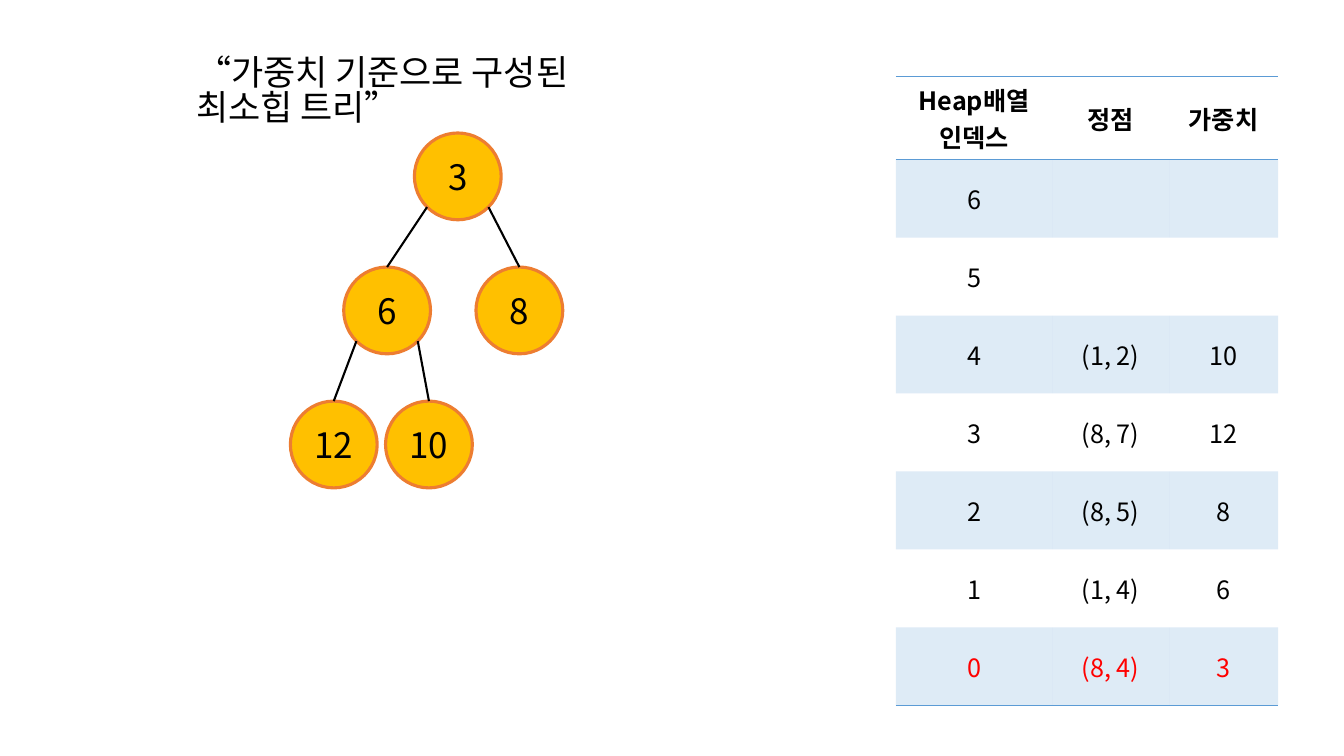
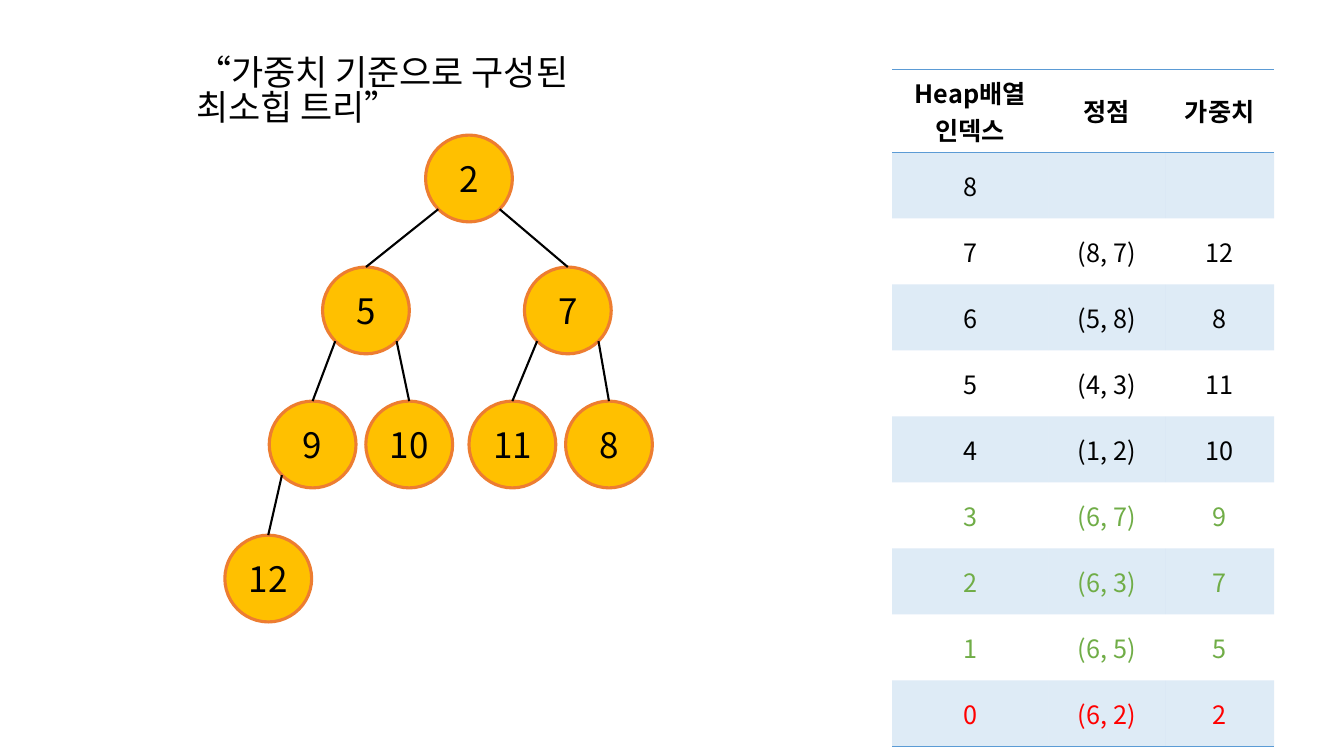
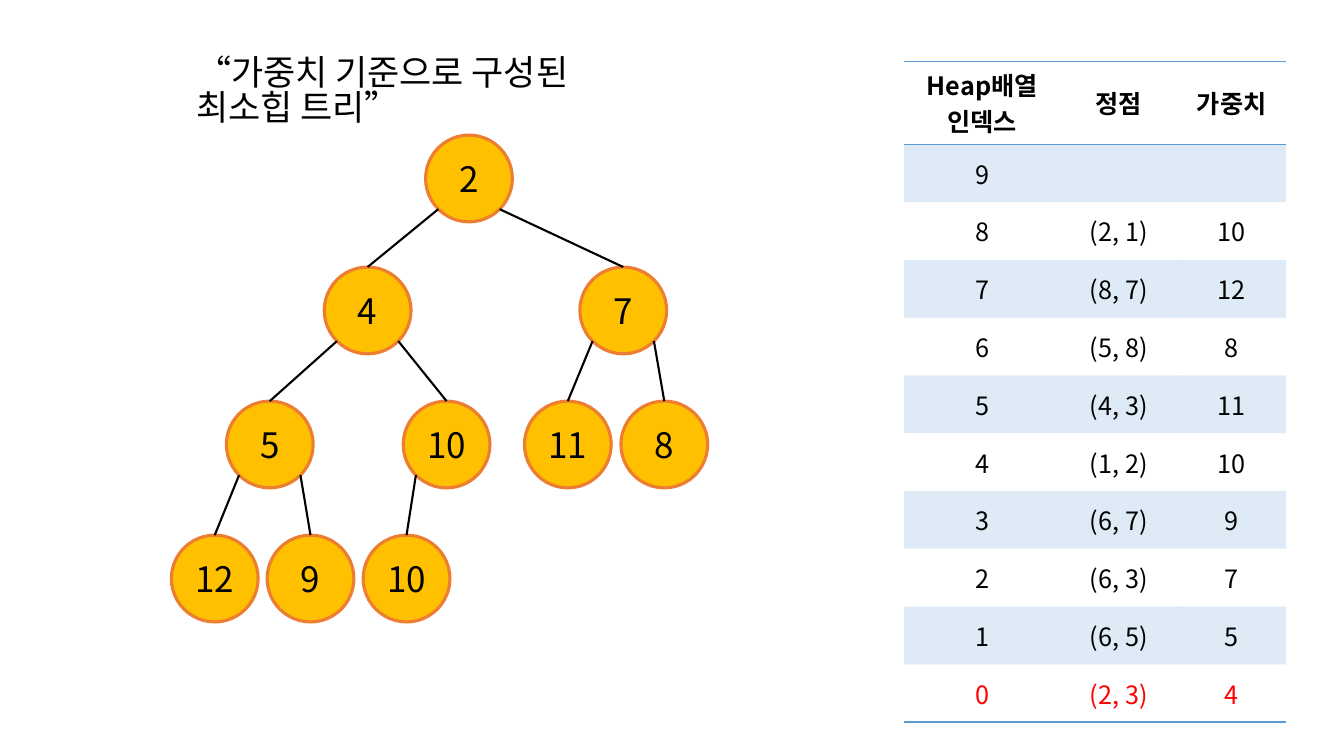
import lxml.etree
import pptx
import pptx.dml.color
import pptx.enum.shapes
import pptx.enum.text
import pptx.oxml.ns
import pptx.util

Pt = pptx.util.Pt
qn = pptx.oxml.ns.qn

FONT = "Noto Sans CJK KR"
COLORS = {
    "black": "000000",
    "red": "FF0000",
    "green": "70AD47",
    "blue": "5B9BD5",
    "gold": "FFC000",
    "orange": "ED7D31",
}
PLAIN = "{2D5ABB26-0587-4C30-8999-92F81FD0307C}"
TITLE = "“가중치 기준으로 구성된 최소힙 트리”"
HEAD = ("Heap배열\n인덱스", "정점", "가중치")
COLS = (111.6, 83.5, 77.8)
NODE = 62
LEVEL = 95.75
EDGE = 0.5 - 0.5 ** 1.5  # inset of the 45° point of a circle, as a share of its width

# Nodes are (key, left) in heap order; rows are (vertex, weight) from index 0 up.
SLIDES = [
    {
        "root": 95,
        "nodes": [(3, 296), (6, 245.5), (8, 340), (12, 207.4), (10, 275.4)],
        "at": (640, 54.7),
        "heights": (51.8, 55.7),
        "rows": [("(8, 4)", 3), ("(1, 4)", 6), ("(8, 5)", 8), ("(8, 7)", 12),
                 ("(1, 2)", 10), ("", ""), ("", "")],
        "green": (),
    },
    {
        "root": 96.5,
        "nodes": [(2, 304), (5, 230.4), (7, 374.6), (9, 192.3), (10, 261.3),
                  (11, 335), (8, 404), (12, 160.6)],
        "at": (637.2, 49.5),
        "heights": (48.2, 47.15),
        "rows": [("(6, 2)", 2), ("(6, 5)", 5), ("(6, 3)", 7), ("(6, 7)", 9),
                 ("(1, 2)", 10), ("(4, 3)", 11), ("(5, 8)", 8), ("(8, 7)", 12),
                 ("", "")],
        "green": (1, 2, 3),
    },
    {
        "root": 96.5,
        "nodes": [(2, 304), (4, 231.6), (7, 414.2), (5, 161.7), (10, 288),
                  (11, 374.6), (8, 443.5), (12, 122.4), (9, 190.8), (10, 259.4)],
        "at": (645.8, 43.7),
        "heights": (43.9, 41.3),
        "rows": [("(2, 3)", 4), ("(6, 5)", 5), ("(6, 3)", 7), ("(6, 7)", 9),
                 ("(1, 2)", 10), ("(4, 3)", 11), ("(5, 8)", 8), ("(8, 7)", 12),
                 ("(2, 1)", 10), ("", "")],
        "green": (),
    },
]


def rgb(name):
    return pptx.dml.color.RGBColor.from_string(COLORS[name])


def write(frame, text, size, color="black", bold=False, center=True):
    frame.text = text
    for par in frame.paragraphs:
        if center:
            par.alignment = pptx.enum.text.PP_ALIGN.CENTER
        font = par.font
        font.name, font.size, font.bold = FONT, Pt(size), bold
        font.color.rgb = rgb(color)
        latin = par._p.pPr.find(qn("a:defRPr")).find(qn("a:latin"))
        asian = lxml.etree.Element(qn("a:ea"), typeface=FONT)
        latin.addnext(asian)


def add_title(slide):
    box = slide.shapes.add_textbox(Pt(133.2), Pt(35.3), Pt(342.7), Pt(37.4))
    frame = box.text_frame
    frame.word_wrap = True
    frame.margin_top = Pt(6)
    write(frame, TITLE, 25, center=False)
    frame.paragraphs[0].line_spacing = 0.83


def add_node(slide, key, left, top):
    oval = pptx.enum.shapes.MSO_SHAPE.OVAL
    node = slide.shapes.add_shape(oval, Pt(left), Pt(top), Pt(NODE), Pt(NODE))
    node.shadow.inherit = False
    node.fill.solid()
    node.fill.fore_color.rgb = rgb("gold")
    node.line.color.rgb = rgb("orange")
    node.line.width = Pt(2.25)
    frame = node.text_frame
    frame.word_wrap = False
    frame.vertical_anchor = pptx.enum.text.MSO_ANCHOR.MIDDLE
    write(frame, str(key), 25)
    return node


def add_edge(slide, parent, child, right):
    """Join a parent's lower left or lower right to the top of a child."""
    inset = int(parent.width * EDGE)
    x = parent.left + (parent.width - inset if right else inset)
    y = parent.top + parent.height - inset
    kind = pptx.enum.shapes.MSO_CONNECTOR.STRAIGHT
    line = slide.shapes.add_connector(kind, x, y, x, y)
    line.end_connect(child, 0)
    line.line.color.rgb = rgb("black")
    line.line.width = Pt(1.5)
    lxml.etree.SubElement(line._element.spPr, qn("a:effectLst"))


def add_tree(slide, nodes, root):
    made = []
    for i, (key, left) in enumerate(nodes):
        level = (i + 1).bit_length() - 1
        top = 95 + LEVEL * level if level else root
        made.append(add_node(slide, key, left, top))
        if i:
            add_edge(slide, made[(i - 1) // 2], made[i], i % 2 == 0)


def rule(cell, *sides):
    """Draw blue borders; call before the cell gets its fill."""
    for side in sides:
        line = lxml.etree.SubElement(
            cell._tc.get_or_add_tcPr(), qn("a:ln" + side), w=str(Pt(1)))
        fill = lxml.etree.SubElement(line, qn("a:solidFill"))
        lxml.etree.SubElement(fill, qn("a:srgbClr"), val=COLORS["blue"])


def tint(cell):
    cell.fill.solid()
    cell.fill.fore_color.rgb = rgb("blue")
    color = cell._tc.tcPr.find(".//" + qn("a:solidFill") + "[last()]")
    color = cell._tc.tcPr.find(qn("a:solidFill")).find(qn("a:srgbClr"))
    lxml.etree.SubElement(color, qn("a:alpha"), val="20000")


def add_heap(slide, at, heights, rows, green):
    head, body = heights
    count = len(rows)
    frame = slide.shapes.add_table(
        count + 1, len(COLS), Pt(at[0]), Pt(at[1]),
        Pt(sum(COLS)), Pt(head + body * count))
    table = frame.table
    table._tbl.tblPr.find(qn("a:tableStyleId")).text = PLAIN
    table.horz_banding = False
    for col, width in zip(table.columns, COLS):
        col.width = Pt(width)
    lines = [HEAD]
    lines += [(i, *rows[i]) for i in reversed(range(count))]
    for r, line in enumerate(lines):
        table.rows[r].height = Pt(body if r else head)
        index = count - r
        color = "red" if index == 0 else "green" if index in green else "black"
        for c, value in enumerate(line):
            cell = table.cell(r, c)
            cell.vertical_anchor = pptx.enum.text.MSO_ANCHOR.MIDDLE
            write(cell.text_frame, str(value), 18, color, bold=r == 0)
            if r == 0:
                rule(cell, "T", "B")
            elif r == count:
                rule(cell, "B")
            if r % 2:
                tint(cell)
            else:
                cell.fill.background()


def main():
    deck = pptx.Presentation()
    deck.slide_width, deck.slide_height = Pt(960), Pt(540)
    for data in SLIDES:
        slide = deck.slides.add_slide(deck.slide_layouts[6])
        add_heap(slide, data["at"], data["heights"], data["rows"], data["green"])
        add_title(slide)
        add_tree(slide, data["nodes"], data["root"])
    deck.save("out.pptx")


if __name__ == "__main__":
    main()
